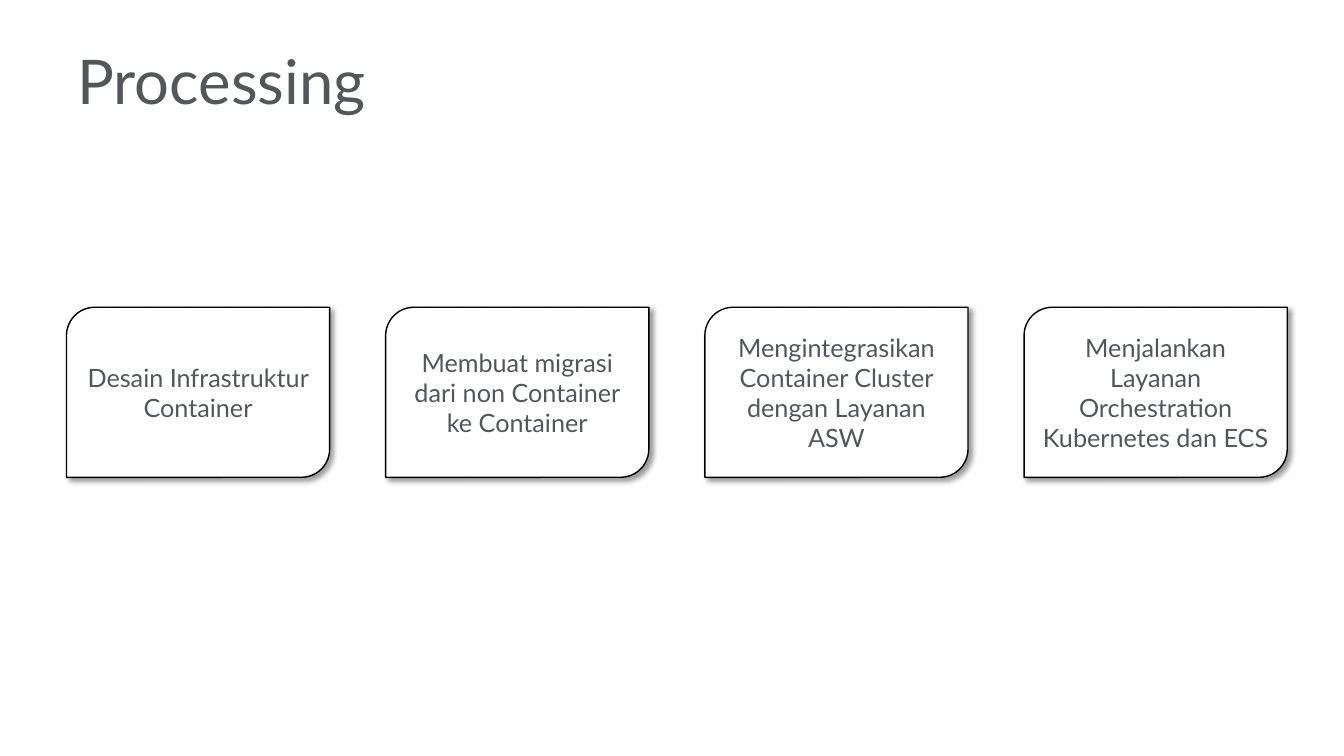
from dataclasses import dataclass

from lxml import etree
from pptx import Presentation
from pptx.dml.color import RGBColor
from pptx.enum import shapes, text
from pptx.oxml import ns
from pptx.util import Pt


@dataclass(frozen=True)
class Theme:
    font: str = "Lato"
    ink: str = "53575C"
    fill: str = "FFFFFF"
    line: str = "000000"
    head: int = 44
    body: int = 18


class Deck:
    def __init__(self, theme):
        self.theme = theme
        self.prs = Presentation()
        self.prs.slide_width, self.prs.slide_height = Pt(960), Pt(540)
        self.slide = self.prs.slides.add_slide(self.prs.slide_layouts[5])

    def label(self, shape, words, size, align):
        frame = shape.text_frame
        frame.text = words
        frame.word_wrap = True
        frame.auto_size = text.MSO_AUTO_SIZE.NONE
        frame.vertical_anchor = text.MSO_ANCHOR.MIDDLE
        para = frame.paragraphs[0]
        para.alignment = align
        para.font.name = self.theme.font
        para.font.size = Pt(size)
        para.font.color.rgb = RGBColor.from_string(self.theme.ink)

    def title(self, words, left, top, width, height):
        shape = self.slide.shapes.title
        shape.left, shape.top = Pt(left), Pt(top)
        shape.width, shape.height = Pt(width), Pt(height)
        self.label(shape, words, self.theme.head, text.PP_ALIGN.LEFT)

    def card(self, words, left, top, width, height):
        shape = self.slide.shapes.add_shape(
            shapes.MSO_SHAPE.ROUND_2_DIAG_RECTANGLE,
            Pt(left), Pt(top), Pt(width), Pt(height))
        shape.fill.solid()
        shape.fill.fore_color.rgb = RGBColor.from_string(self.theme.fill)
        shape.line.color.rgb = RGBColor.from_string(self.theme.line)
        shape.line.width = Pt(1)
        self.shade(shape)
        self.label(shape, words, self.theme.body, text.PP_ALIGN.CENTER)

    def shade(self, shape):
        """Add a soft shadow to the lower right."""
        shape.shadow.inherit = False
        effects = shape.element.spPr.find(ns.qn("a:effectLst"))
        drop = etree.SubElement(
            effects, ns.qn("a:outerShdw"), blurRad=str(Pt(4)), dist=str(Pt(3)),
            dir="2700000", algn="tl", rotWithShape="0")
        color = etree.SubElement(drop, ns.qn("a:srgbClr"), val=self.theme.line)
        etree.SubElement(color, ns.qn("a:alpha"), val="40000")


STEPS = (
    "Desain Infrastruktur Container",
    "Membuat migrasi dari non Container ke Container",
    "Mengintegrasikan Container Cluster dengan Layanan ASW",
    "Menjalankan Layanan Orchestration Kubernetes dan ECS",
)
LEFT, TOP, WIDTH, HEIGHT, PITCH = 47.5, 219.5, 188, 121.5, 228


def main():
    deck = Deck(Theme())
    deck.title("Processing", 48, 34, 864, 46)
    for i, step in enumerate(STEPS):
        deck.card(step, LEFT + i * PITCH, TOP, WIDTH, HEIGHT)
    deck.prs.save("out.pptx")


if __name__ == "__main__":
    main()
